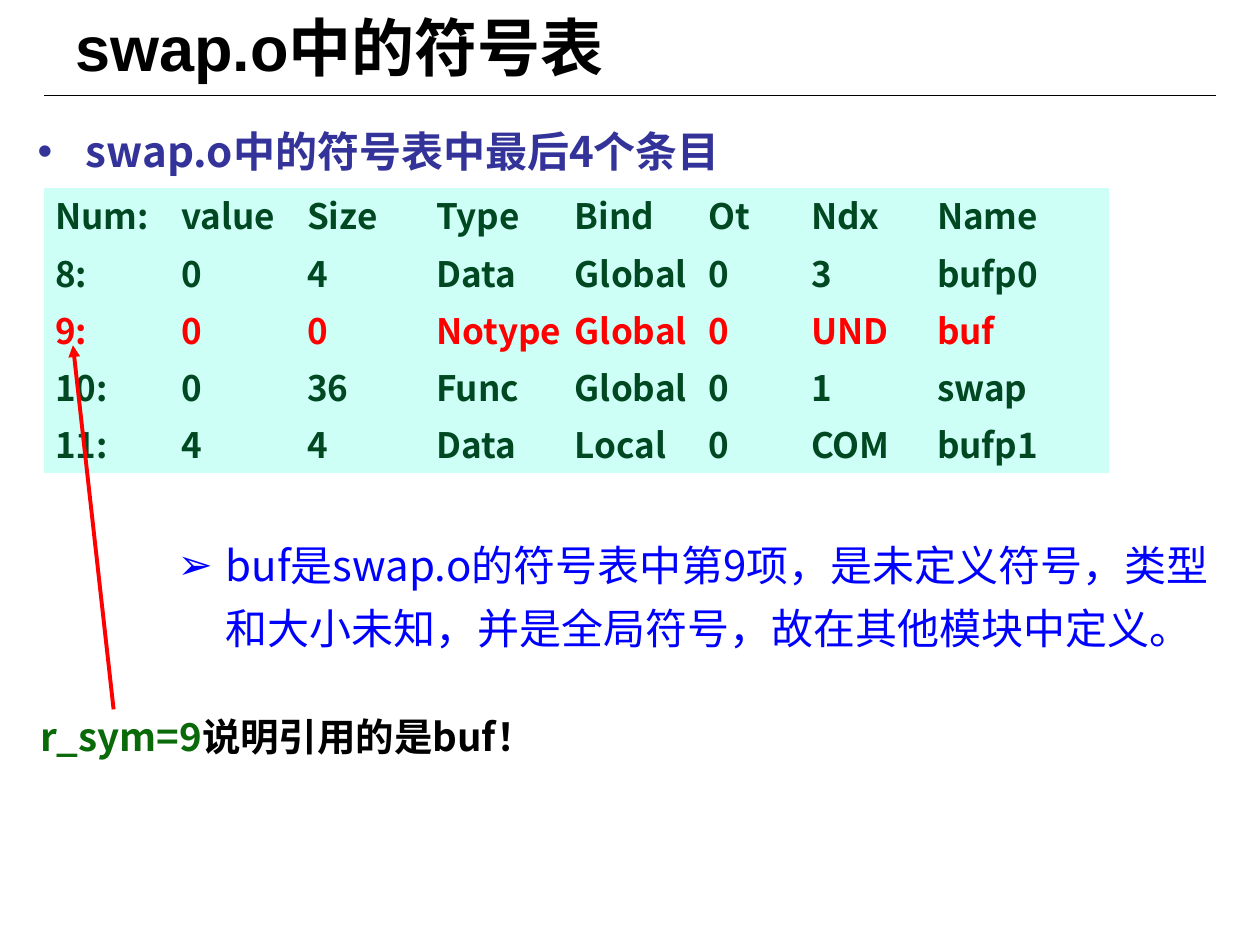
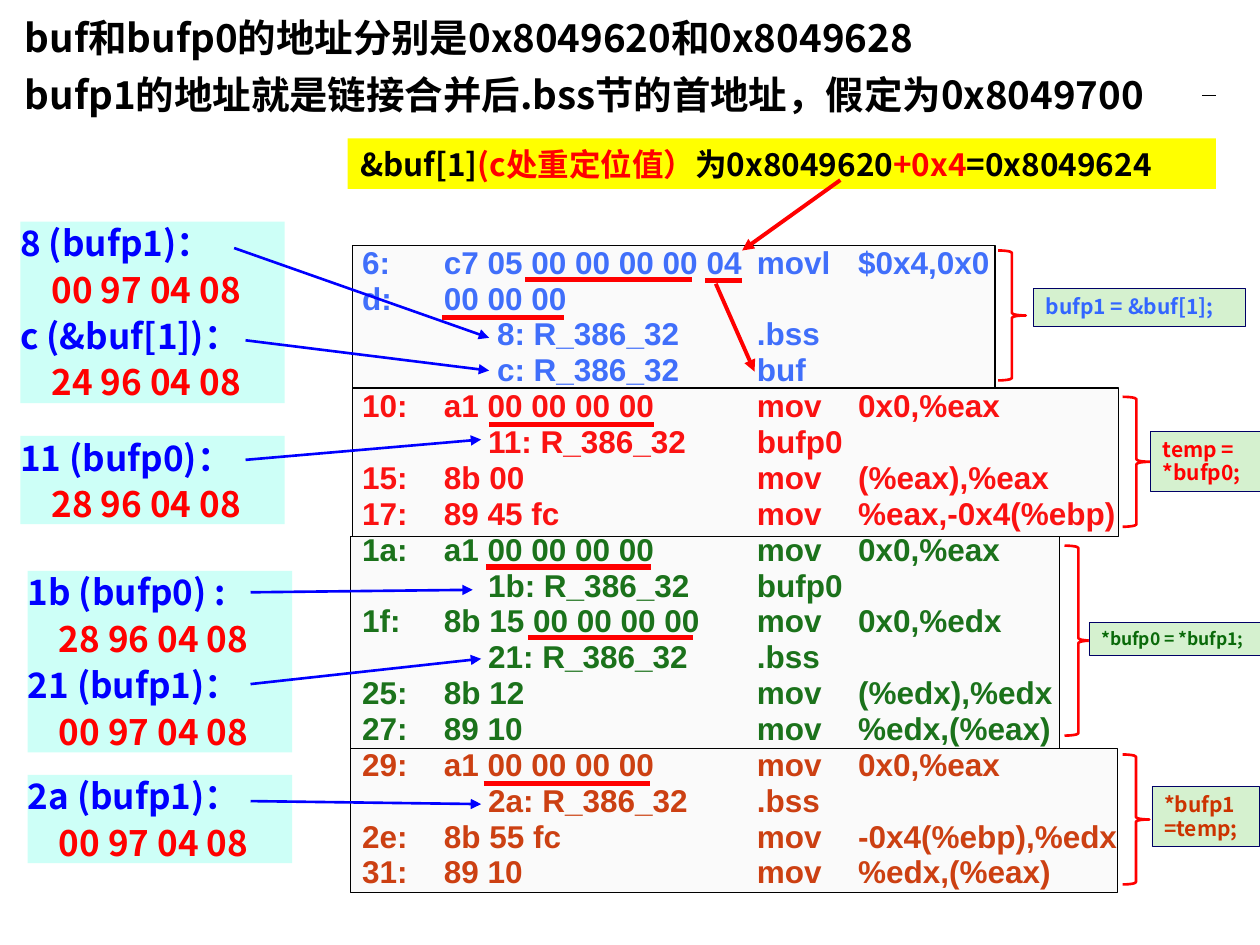
from lxml.etree import SubElement
from pptx import Presentation
from pptx.dml.color import RGBColor
from pptx.enum.shapes import MSO_CONNECTOR, MSO_SHAPE
from pptx.enum.text import MSO_ANCHOR, MSO_AUTO_SIZE, PP_ALIGN
from pptx.oxml.ns import qn
from pptx.util import Cm, Pt

BLACK = RGBColor(0x00, 0x00, 0x00)
WHITE = RGBColor(0xFF, 0xFF, 0xFF)
RED = RGBColor(0xFF, 0x00, 0x00)
BLUE = RGBColor(0x00, 0x00, 0xFF)
INDIGO = RGBColor(0x33, 0x33, 0x99)
SKY = RGBColor(0x33, 0x66, 0xFF)
NAVY = RGBColor(0x00, 0x00, 0x66)
GREEN = RGBColor(0x0A, 0x6A, 0x0A)
DARK_GREEN = RGBColor(0x00, 0x48, 0x21)
RUST = RGBColor(0xCC, 0x33, 0x00)
GREY = RGBColor(0xCC, 0xCC, 0xCC)
CYAN = RGBColor(0xCD, 0xFF, 0xF7)
YELLOW = RGBColor(0xFF, 0xFF, 0x00)
MINT = RGBColor(0xD5, 0xF1, 0xCF)
SANS = "Noto Sans CJK SC"
CODE_FONT = "Arial"

SYMBOLS = [
    ("Num:", "value", "Size", "Type", "Bind", "Ot", "Ndx", "Name"),
    ("8:", "0", "4", "Data", "Global", "0", "3", "bufp0"),
    ("9:", "0", "0", "Notype", "Global", "0", "UND", "buf"),
    ("10:", "0", "36", "Func", "Global", "0", "1", "swap"),
    ("11:", "4", "4", "Data", "Local", "0", "COM", "bufp1"),
]
SYMBOL_WIDTHS = (2.54, 2.54, 2.6, 2.8, 2.7, 2.06, 2.54, 3.69)
UNDEFINED_ROW = 2

HEADING = [
    "buf和bufp0的地址分别是0x8049620和0x8049628",
    "bufp1的地址就是链接合并后.bss节的首地址，假定为0x8049700",
]
RELOCATED_VALUE = [
    ("&buf[1]", BLACK), ("(c处重定位值）", RED), ("为0x8049620", BLACK),
    ("+0x4", RED), ("=0x8049624", BLACK),
]
CODE_BLOCKS = [
    {
        "color": SKY, "panel": (7.11, 4.95, 12.95, 2.87), "relocation_tab": 2.72,
        "brace": (20.12, 5.05, 0.56, 2.62),
        "label": ("bufp1 = &buf[1];", 12, (20.83, 5.82, 4.27, 0.76)),
        "lines": [
            "6:\tc7 05 00 00 00 00 04\tmovl\t$0x4,0x0",
            "d:\t00 00 00",
            "\t\t8: R_386_32\t.bss",
            "\t\tc: R_386_32\tbuf",
        ],
    },
    {
        "color": RED, "panel": (7.11, 7.82, 15.44, 3.0), "relocation_tab": 2.54,
        "brace": (22.63, 8.0, 0.56, 2.62),
        "label": ("temp = *bufp0;", 12, (23.19, 8.69, 2.24, 1.22)),
        "lines": [
            "10:\ta1 00 00 00 00\tmov\t0x0,%eax",
            "\t\t11: R_386_32\tbufp0",
            "15:\t8b 00\tmov\t(%eax),%eax",
            "17:\t89 45 fc\tmov\t%eax,-0x4(%ebp)",
        ],
    },
    {
        "color": GREEN, "panel": (7.06, 10.82, 14.3, 4.27), "relocation_tab": 2.54,
        "brace": (21.46, 11.0, 0.56, 3.83),
        "label": ("*bufp0 = *bufp1;", 10, (21.95, 12.55, 3.68, 0.66)),
        "lines": [
            "1a:\ta1 00 00 00 00\tmov\t0x0,%eax",
            "\t\t1b: R_386_32\tbufp0",
            "1f:\t8b 15 00 00 00 00\tmov\t0x0,%edx",
            "\t\t21: R_386_32\t.bss",
            "25:\t8b 12\tmov\t(%edx),%edx",
            "27:\t89 10\tmov\t%edx,(%eax)",
        ],
    },
    {
        "color": RUST, "panel": (7.06, 15.09, 15.47, 2.9), "relocation_tab": 2.54,
        "brace": (22.63, 15.21, 0.54, 2.62),
        "label": ("*bufp1=temp;", 12, (23.22, 15.85, 2.16, 1.22)),
        "lines": [
            "29:\ta1 00 00 00 00\tmov\t0x0,%eax",
            "\t\t2a: R_386_32\t.bss",
            "2e:\t8b 55 fc\tmov\t-0x4(%ebp),%edx",
            "31:\t89 10\tmov\t%edx,(%eax)",
        ],
    },
]
ADDRESS_NOTES = [
    ((0.41, 4.47, 5.33, 3.66), [("8 (bufp1)：", "00 97 04 08"), ("c (&buf[1])：", "24 96 04 08")]),
    ((0.41, 8.79, 5.33, 1.78), [("11 (bufp0)：", "28 96 04 08")]),
    ((0.56, 11.51, 5.33, 3.66), [("1b (bufp0) :", "28 96 04 08"), ("21 (bufp1)：", "00 97 04 08")]),
    ((0.56, 15.62, 5.33, 1.78), [("2a (bufp1)：", "00 97 04 08")]),
]
UNDERLINES = [
    (10.59, 5.64, 3.35), (14.22, 5.66, 0.74), (8.92, 6.4, 2.44), (9.86, 8.56, 3.33),
    (9.8, 11.43, 3.33), (10.64, 12.85, 3.33), (9.75, 15.8, 3.35),
]
RED_ARROWS = [((14.43, 5.72), (15.21, 7.49)), ((16.94, 3.63), (14.96, 5.05))]
NOTE_ARROWS = [
    ((4.72, 5.0), (9.86, 6.81)), ((4.95, 6.86), (9.86, 7.47)), ((4.95, 9.27), (9.7, 8.86)),
    ((5.05, 11.94), (9.53, 11.89)), ((5.05, 13.79), (9.7, 13.28)), ((5.05, 16.15), (9.7, 16.21)),
]


def place(shape, box):
    shape.left, shape.top, shape.width, shape.height = map(Cm, box)


def write_paragraph(frame, text, first=False, size=20, color=BLACK, font=SANS, bold=True,
                    line=1.2, before=0, indent=0, bullet=None, tabs=()):
    """Write one paragraph; text is a string or a list of (text, color) runs."""
    paragraph = frame.paragraphs[0] if first else frame.add_paragraph()
    paragraph.alignment = PP_ALIGN.LEFT
    properties = paragraph._p.get_or_add_pPr()
    properties.set("hangingPunct", "0")
    if indent:
        properties.set("marL", str(Cm(indent)))
    if bullet:
        properties.set("indent", str(-Cm(indent)))
        bullet_color = SubElement(properties, qn("a:buClr"))
        SubElement(bullet_color, qn("a:srgbClr"), val=str(color))
        SubElement(properties, qn("a:buFont"), typeface=CODE_FONT)
        SubElement(properties, qn("a:buChar"), char=bullet)
    if tabs:
        tab_list = SubElement(properties, qn("a:tabLst"))
        for position in tabs:
            SubElement(tab_list, qn("a:tab"), pos=str(Cm(position)), algn="l")
    paragraph.line_spacing = Pt(round(size * line, 1))
    paragraph.space_before = Pt(0 if first else before)
    for words, run_color in [(text, color)] if isinstance(text, str) else text:
        run = paragraph.add_run()
        run.text = words
        run.font.size, run.font.bold, run.font.name = Pt(size), bold, font
        run.font.color.rgb = run_color
        SubElement(run._r.get_or_add_rPr(), qn("a:ea"), typeface=SANS)


def write_text(shape, texts, anchor=MSO_ANCHOR.TOP, margins=(0.25, 0.13, 0.25, 0.13), **style):
    """Fill a shape; each text is a paragraph, or a pair of paragraph and its own style."""
    frame = shape.text_frame
    frame.word_wrap, frame.auto_size, frame.vertical_anchor = True, MSO_AUTO_SIZE.NONE, anchor
    frame.margin_left, frame.margin_top, frame.margin_right, frame.margin_bottom = map(Cm, margins)
    for index, item in enumerate(texts):
        text, own_style = item if isinstance(item, tuple) else (item, {})
        write_paragraph(frame, text, first=index == 0, **{**style, **own_style})


def add_box(slide, box, fill=None, line=None, width=0.75, preset=MSO_SHAPE.RECTANGLE):
    shape = slide.shapes.add_shape(preset, *map(Cm, box))
    shape.shadow.inherit = False
    if fill is None:
        shape.fill.background()
    else:
        shape.fill.solid()
        shape.fill.fore_color.rgb = fill
    if line is None:
        shape.line.fill.background()
    else:
        shape.line.color.rgb, shape.line.width = line, Pt(width)
    return shape


def add_line(slide, start, end, color, width, arrow=False):
    connector = slide.shapes.add_connector(MSO_CONNECTOR.STRAIGHT, *map(Cm, start + end))
    connector.line.color.rgb, connector.line.width = color, Pt(width)
    if arrow:
        SubElement(connector.line._get_or_add_ln(), qn("a:tailEnd"), type="triangle")
    SubElement(connector.element.spPr, qn("a:effectLst"))
    return connector


def add_master_rule(presentation, slide):
    """Draw the rule under the titles once, on the slide master."""
    rule = add_line(slide, (0.89, 1.93), (24.51, 1.93), BLACK, 0.75).element
    rule.nvCxnSpPr.cNvPr.set("id", "20")
    presentation.slide_master.shapes.element.append(rule)


def add_symbol_table(slide):
    frame = slide.shapes.add_table(len(SYMBOLS), len(SYMBOL_WIDTHS), Cm(0.89), Cm(3.78),
                                   Cm(sum(SYMBOL_WIDTHS)), Cm(5.75))
    table = frame.table
    table.first_row = table.horz_banding = False
    for column, width in zip(table.columns, SYMBOL_WIDTHS):
        column.width = Cm(width)
    for row, values in enumerate(SYMBOLS):
        color = RED if row == UNDEFINED_ROW else DARK_GREEN
        for column, value in enumerate(values):
            cell = table.cell(row, column)
            cell.vertical_anchor = MSO_ANCHOR.MIDDLE
            cell.margin_left, cell.margin_top = Cm(0.22), Cm(0.12)
            cell.margin_right = cell.margin_bottom = 0
            for side in ("a:lnL", "a:lnR", "a:lnT", "a:lnB"):
                border = SubElement(cell._tc.get_or_add_tcPr(), qn(side), w="0")
                SubElement(border, qn("a:noFill"))
            cell.fill.solid()
            cell.fill.fore_color.rgb = CYAN
            write_paragraph(cell.text_frame, value, first=True, color=color)


def build_symbol_slide(presentation):
    slide = presentation.slides.add_slide(presentation.slide_layouts[3])
    add_master_rule(presentation, slide)
    title, summary, explanation = slide.placeholders
    place(title, (1.27, 0.15, 22.86, 1.55))
    write_text(title, ["swap.o中的符号表"], MSO_ANCHOR.MIDDLE, size=36, font=CODE_FONT)
    place(summary, (0.51, 2.36, 22.86, 1.32))
    write_text(summary, ["swap.o中的符号表中最后4个条目"], size=24, color=INDIGO, line=1.26,
               indent=0.97, bullet="•")
    add_symbol_table(slide)
    place(explanation, (3.33, 10.49, 21.7, 2.79))
    write_text(explanation, ["buf是swap.o的符号表中第9项，是未定义符号，类型和大小未知，"
                             "并是全局符号，故在其他模块中定义。"],
               size=24, color=BLUE, bold=False, line=1.5, indent=0.97, bullet="➢")
    conclusion = slide.shapes.add_textbox(*map(Cm, (0.56, 14.3, 11.38, 1.17)))
    write_text(conclusion, [[("r_sym=9", GREEN), ("说明引用的是buf！", BLACK)]], size=22, line=1.14)
    add_line(slide, (2.29, 14.3), (1.47, 6.96), RED, 2.25, arrow=True)


def add_code(slide):
    listing = add_box(slide, (6.15, 4.8, 16.59, 13.28), WHITE)
    lines = [(line, {"color": block["color"], "tabs": (1.65, block["relocation_tab"], 7.96, 10)})
             for block in CODE_BLOCKS for line in block["lines"]]
    write_text(listing, lines, MSO_ANCHOR.MIDDLE, (1.15, 0.13, 0, 0.13),
               size=18, font=CODE_FONT, line=1.14)
    for block in CODE_BLOCKS:
        panel = add_box(slide, block["panel"], GREY, BLACK)
        tint = panel.element.spPr.find(qn("a:solidFill"))[0]
        SubElement(tint, qn("a:alpha"), val="9000")
        add_box(slide, block["brace"], None, RED, 1.5, MSO_SHAPE.RIGHT_BRACE)
        statement, size, box = block["label"]
        label = add_box(slide, box, MINT, NAVY, 0.25)
        write_text(label, [statement], size=size, color=block["color"], line=1.13)


def build_relocation_slide(presentation):
    slide = presentation.slides.add_slide(presentation.slide_layouts[5])
    heading = slide.shapes.title
    place(heading, (0.25, 0.15, 23.98, 2.34))
    heading.fill.solid()
    heading.fill.fore_color.rgb = WHITE
    write_text(heading, HEADING, MSO_ANCHOR.MIDDLE, (0.25, 0.13, 0, 0.13), size=22, before=6)
    add_code(slide)
    banner = add_box(slide, (7.01, 2.79, 17.5, 1.02), YELLOW)
    write_text(banner, [RELOCATED_VALUE], MSO_ANCHOR.MIDDLE, size=18)
    for box, entries in ADDRESS_NOTES:
        lines = []
        for place_name, address in entries:
            lines += [(place_name, {"color": BLUE}), (address, {"color": RED, "indent": 0.63})]
        write_text(add_box(slide, box, CYAN), lines, margins=(0, 0, 0, 0), before=2.5)
    for left, top, length in UNDERLINES:
        add_line(slide, (left, top), (left + length, top), RED, 3)
    for start, end in RED_ARROWS:
        add_line(slide, start, end, RED, 2.25, arrow=True)
    for start, end in NOTE_ARROWS:
        add_line(slide, start, end, BLUE, 1.5, arrow=True)


def main():
    presentation = Presentation()
    presentation.slide_width, presentation.slide_height = Cm(25.4), Cm(19.05)
    build_symbol_slide(presentation)
    build_relocation_slide(presentation)
    presentation.save("out.pptx")


if __name__ == "__main__":
    main()
